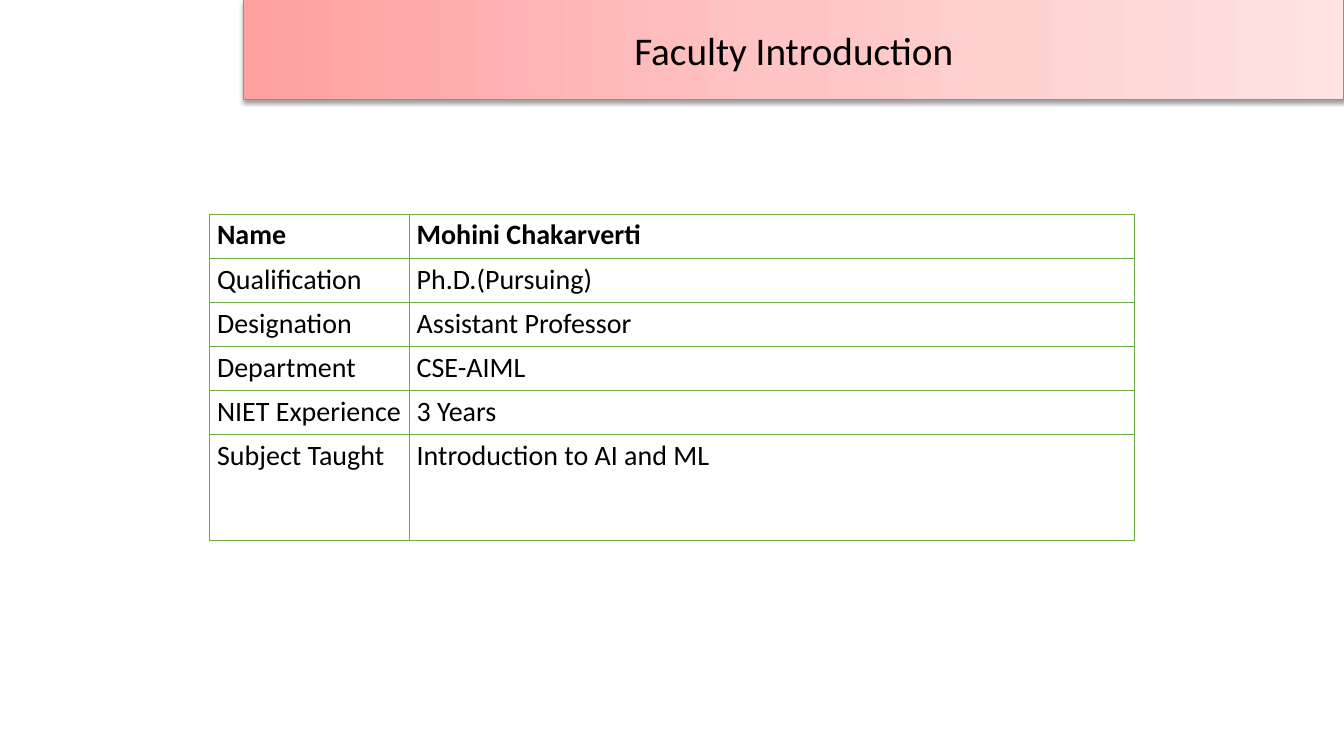
"""Build the faculty introduction slide with its title banner and profile table."""
from copy import deepcopy

from lxml.etree import SubElement
from pptx import Presentation
from pptx.dml.color import RGBColor
from pptx.enum.shapes import MSO_SHAPE
from pptx.enum.text import MSO_ANCHOR as Anchor, PP_ALIGN as Align
from pptx.oxml.ns import qn
from pptx.util import Cm, Pt

COLORS = {
    "text": "000000",
    "banner_start": "FFA0A0",
    "banner_middle": "FFC5C5",
    "banner_end": "FFE3E3",
    "banner_edge": "46AAC5",
    "grid": "70AD47",
}
PROFILE = [
    ("Name", "Mohini Chakarverti"),
    ("Qualification", "Ph.D.(Pursuing)"),
    ("Designation", "Assistant Professor"),
    ("Department", "CSE-AIML"),
    ("NIET Experience", "3 Years"),
    ("Subject Taught", "Introduction to AI and ML"),
]
TITLE_FORMAT = {"name": "Calibri", "size": Pt(28), "bold": False}
ENTRY_FORMAT = {"name": "Calibri", "size": Pt(20), "bold": False}
HEADING_FORMAT = {**ENTRY_FORMAT, "bold": True}
CELL_FORMAT = {
    "margin_left": Cm(0.19),
    "margin_right": Cm(0.19),
    "margin_top": Cm(0.1),
    "margin_bottom": Cm(0.1),
    "vertical_anchor": Anchor.TOP,
}
COLUMN_WIDTHS = (5.03, 18.29)
ROW_HEIGHT, LAST_ROW_HEIGHT = 1.11, 2.67
THIN, THICK = Pt(0.75), Pt(1.13)


def rgb(role):
    return RGBColor.from_string(COLORS[role])


def apply_format(target, values):
    for attribute, value in values.items():
        setattr(target, attribute, value)


def write_text(frame, wording, text_format, align=Align.LEFT):
    paragraph = frame.paragraphs[0]
    paragraph.alignment = align
    run = paragraph.add_run()
    run.text = wording
    apply_format(run.font, text_format)
    run.font.color.rgb = rgb("text")


def fill_banner(banner):
    banner.fill.gradient()
    banner.fill.gradient_angle = 0
    stop_list = banner._element.spPr.find(qn("a:gradFill")).find(qn("a:gsLst"))
    stop_list.append(deepcopy(stop_list[0]))
    roles = ("banner_start", "banner_middle", "banner_end")
    for index, (stop, role) in enumerate(zip(banner.fill.gradient_stops, roles)):
        stop.position = index / 2
        stop.color.rgb = rgb(role)


def add_banner_shadow(banner):
    banner.shadow.inherit = False
    effects = banner._element.spPr.find(qn("a:effectLst"))
    shadow = SubElement(effects, qn("a:outerShdw"), blurRad=str(Pt(3.1)),
                        dist=str(Pt(1.6)), dir="5400000", rotWithShape="0")
    tint = SubElement(shadow, qn("a:srgbClr"), val=COLORS["text"])
    SubElement(tint, qn("a:alpha"), val="38000")


def add_banner(slide, wording):
    banner = slide.shapes.add_shape(
        MSO_SHAPE.RECTANGLE, Cm(6.14), Cm(0), Cm(27.73), Cm(2.52))
    fill_banner(banner)
    banner.line.color.rgb = rgb("banner_edge")
    banner.line.width = THIN
    add_banner_shadow(banner)
    banner.text_frame.vertical_anchor = Anchor.MIDDLE
    write_text(banner.text_frame, wording, TITLE_FORMAT, Align.CENTER)


def add_borders(cell, widths):
    properties = cell._tc.get_or_add_tcPr()
    for side, width in widths.items():
        border = SubElement(properties, qn(f"a:ln{side}"), w=str(width))
        fill = SubElement(border, qn("a:solidFill"))
        SubElement(fill, qn("a:srgbClr"), val=COLORS["grid"])


def add_profile(slide, entries):
    last = len(entries) - 1
    profile = slide.shapes.add_table(
        len(entries), len(COLUMN_WIDTHS), Cm(5.28), Cm(5.4),
        Cm(sum(COLUMN_WIDTHS)), Cm(last * ROW_HEIGHT + LAST_ROW_HEIGHT)).table
    apply_format(profile, {"first_row": False, "horz_banding": False})
    for column, width in zip(profile.columns, COLUMN_WIDTHS):
        column.width = Cm(width)
    for index, entry in enumerate(entries):
        profile.rows[index].height = Cm(LAST_ROW_HEIGHT if index == last else ROW_HEIGHT)
        widths = {"L": THIN, "R": THIN,
                  "T": THICK if index == 1 else THIN,
                  "B": THICK if index == 0 else THIN}
        for cell, wording in zip(profile.rows[index].cells, entry):
            apply_format(cell, CELL_FORMAT)
            add_borders(cell, widths)
            cell.fill.background()
            write_text(cell.text_frame, wording,
                       HEADING_FORMAT if index == 0 else ENTRY_FORMAT)
    profile.cell(last, 1).text_frame.paragraphs[0].alignment = Align.JUSTIFY


def main():
    deck = Presentation()
    apply_format(deck, {"slide_width": Cm(33.87), "slide_height": Cm(19.05)})
    slide = deck.slides.add_slide(deck.slide_layouts[6])
    add_banner(slide, "Faculty Introduction")
    add_profile(slide, PROFILE)
    deck.save("out.pptx")


if __name__ == "__main__":
    main()
